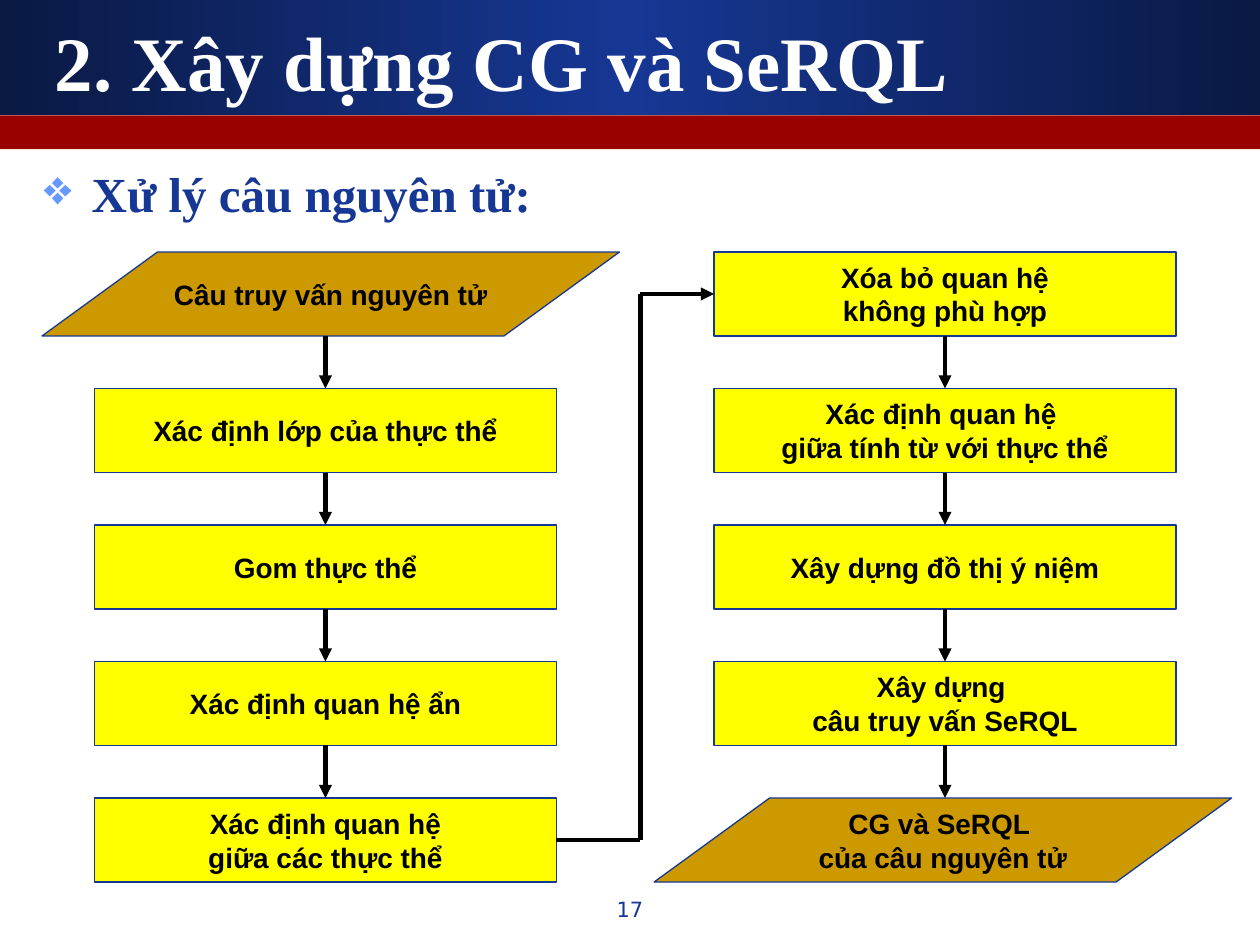
from copy import deepcopy
from dataclasses import dataclass

from lxml import etree
from pptx import Presentation
from pptx import util as u
from pptx.dml.color import RGBColor
from pptx.enum import shapes, text
from pptx.oxml import ns


@dataclass(frozen=True)
class Theme:
    navy: str = "163794"
    midnight: str = "0A1944"
    red: str = "990000"
    yellow: str = "FFFF00"
    ochre: str = "CC9900"
    bullet: str = "6699FF"
    white: str = "FFFFFF"
    black: str = "000000"
    serif: str = "Times New Roman"
    sans: str = "Arial"
    number_font: str = "DejaVu Sans"
    title_size: int = 44
    heading_size: int = 28
    box_size: int = 16
    number_size: int = 12
    outline: float = 0.75
    arrow: float = 2.5


def rgb(value):
    return RGBColor.from_string(value)


def add_xml(parent, tag, **attributes):
    return etree.SubElement(parent, ns.qn(tag), attributes)


class FlowSlide:
    """Places elements on a grid of 120 columns by 90 rows."""

    COLUMNS, ROWS = 120, 90

    def __init__(self, deck, theme):
        self.theme = theme
        self.column = deck.slide_width / self.COLUMNS
        self.row = deck.slide_height / self.ROWS
        self.page = deck.slides.add_slide(deck.slide_layouts[5])

    def place(self, left, top, width, height):
        return (round(left * self.column), round(top * self.row),
                round(width * self.column), round(height * self.row))

    def add_words(self, para, words, font, size, color, bold=True):
        # A vertical tab marks a line break inside the paragraph
        for index, part in enumerate(words.split("\v")):
            if index:
                para.add_line_break()
            span = para.add_run()
            span.text = part
            span.font.name, span.font.size = font, u.Pt(size)
            span.font.bold = bold
            span.font.color.rgb = rgb(color)

    def title(self, words, *area):
        box = self.page.shapes.title
        box.left, box.top, box.width, box.height = self.place(*area)
        frame = box.text_frame
        frame.auto_size = text.MSO_AUTO_SIZE.NONE
        frame.vertical_anchor = text.MSO_ANCHOR.MIDDLE
        para = frame.paragraphs[0]
        para.alignment = text.PP_ALIGN.LEFT
        self.add_words(para, words, self.theme.serif, self.theme.title_size,
                       self.theme.white)

    def shape(self, kind, *area):
        box = self.page.shapes.add_shape(kind, *self.place(*area))
        box.shadow.inherit = False
        return box

    def band(self, top, height, color, edge=None):
        band = self.shape(shapes.MSO_SHAPE.RECTANGLE, 0, top, self.COLUMNS, height)
        band.line.fill.background()
        if edge:
            band.fill.gradient()
            band.fill.gradient_angle = 0
            first, last = band.fill.gradient_stops
            first.color.rgb = last.color.rgb = rgb(edge)
            stops = band._element.spPr.find(".//" + ns.qn("a:gsLst"))
            stops.insert(1, deepcopy(stops[0]))
            middle = band.fill.gradient_stops[1]
            middle.position, middle.color.rgb = 0.5, rgb(color)
        else:
            band.fill.solid()
            band.fill.fore_color.rgb = rgb(color)
        # Bands lie behind the title
        self.page.shapes.title._element.addprevious(band._element)

    def text_box(self, *area):
        box = self.page.shapes.add_textbox(*self.place(*area))
        box.text_frame.word_wrap = True
        return box.text_frame.paragraphs[0]

    def heading(self, words, *area):
        para = self.text_box(*area)
        para.space_before = u.Pt(7)
        props = para._p.get_or_add_pPr()
        indent = u.Inches(0.38)
        props.set("marL", str(indent))
        props.set("indent", str(-indent))
        add_xml(add_xml(props, "a:buClr"), "a:srgbClr", val=self.theme.bullet)
        add_xml(props, "a:buChar", char="❖")
        self.add_words(para, words, self.theme.serif, self.theme.heading_size,
                       self.theme.navy)

    def number(self, words, *area):
        para = self.text_box(*area)
        para.alignment = text.PP_ALIGN.CENTER
        self.add_words(para, words, self.theme.number_font, self.theme.number_size,
                       self.theme.navy, bold=False)

    def box(self, kind, color, lines, *area):
        box = self.shape(kind, *area)
        box.fill.solid()
        box.fill.fore_color.rgb = rgb(color)
        box.line.color.rgb = rgb(self.theme.navy)
        box.line.width = u.Pt(self.theme.outline)
        frame = box.text_frame
        frame.word_wrap = False
        frame.vertical_anchor = text.MSO_ANCHOR.MIDDLE
        for index, words in enumerate(lines):
            para = frame.add_paragraph() if index else frame.paragraphs[0]
            para.alignment = text.PP_ALIGN.CENTER
            self.add_words(para, words, self.theme.sans, self.theme.box_size,
                           self.theme.black)

    def step(self, lines, *area):
        self.box(shapes.MSO_SHAPE.FLOWCHART_PROCESS, self.theme.yellow, lines, *area)

    def data(self, lines, *area):
        self.box(shapes.MSO_SHAPE.FLOWCHART_DATA, self.theme.ochre, lines, *area)

    def line(self, start, end, arrow=True):
        line = self.page.shapes.add_connector(
            shapes.MSO_CONNECTOR.STRAIGHT, *self.place(*start, *end))
        line.line.color.rgb = rgb(self.theme.black)
        line.line.width = u.Pt(self.theme.arrow)
        if arrow:
            add_xml(line._element.spPr.find(ns.qn("a:ln")), "a:tailEnd", type="triangle")
        add_xml(line._element.spPr, "a:effectLst")


def main():
    deck = Presentation()
    deck.slide_width, deck.slide_height = u.Inches(10), u.Inches(7.5)
    theme = Theme()
    slide = FlowSlide(deck, theme)

    # Header
    slide.band(0, 11, theme.navy, edge=theme.midnight)
    slide.band(11, 3.2, theme.red)
    slide.title("2. Xây dựng CG và SeRQL", 4, 2, 111, 7.5)
    slide.heading("Xử lý câu nguyên tử:", 3, 15, 113, 7)

    # Flow: each column has a left edge and its steps; data boxes are wider
    top, height, pitch, width, data_width = 24, 8, 13, 44, 55
    left, right, bend = 9, 68, 61
    columns = [
        (left, [
            (slide.data, 4, ["Câu truy vấn nguyên tử"]),
            (slide.step, left, ["Xác định lớp của thực thể"]),
            (slide.step, left, ["Gom thực thể"]),
            (slide.step, left, ["Xác định quan hệ ẩn"]),
            (slide.step, left, ["Xác định quan hệ", "giữa các thực thể"]),
        ]),
        (right, [
            (slide.step, right, ["Xóa bỏ quan hệ", "không phù hợp"]),
            (slide.step, right, ["Xác định quan hệ \vgiữa tính từ với thực thể"]),
            (slide.step, right, ["Xây dựng đồ thị ý niệm"]),
            (slide.step, right, ["Xây dựng ", "câu truy vấn SeRQL"]),
            (slide.data, 62.3, ["CG và SeRQL ", "của câu nguyên tử"]),
        ]),
    ]
    for edge, steps in columns:
        center = edge + width / 2
        for index, (draw, start, lines) in enumerate(steps):
            y = top + index * pitch
            draw(lines, start, y, data_width if draw == slide.data else width, height)
            if index:
                slide.line((center, y - pitch + height), (center, y))

    # Link from the last left step to the first right step
    high = top + height / 2
    low = high + 4 * pitch
    slide.line((left + width, low), (bend, low), arrow=False)
    slide.line((bend, high), (bend, low), arrow=False)
    slide.line((bend, high), (right, high))

    # Page number
    slide.number("17", 46, 84.8, 28, 4.2)

    deck.save("out.pptx")


if __name__ == "__main__":
    main()
